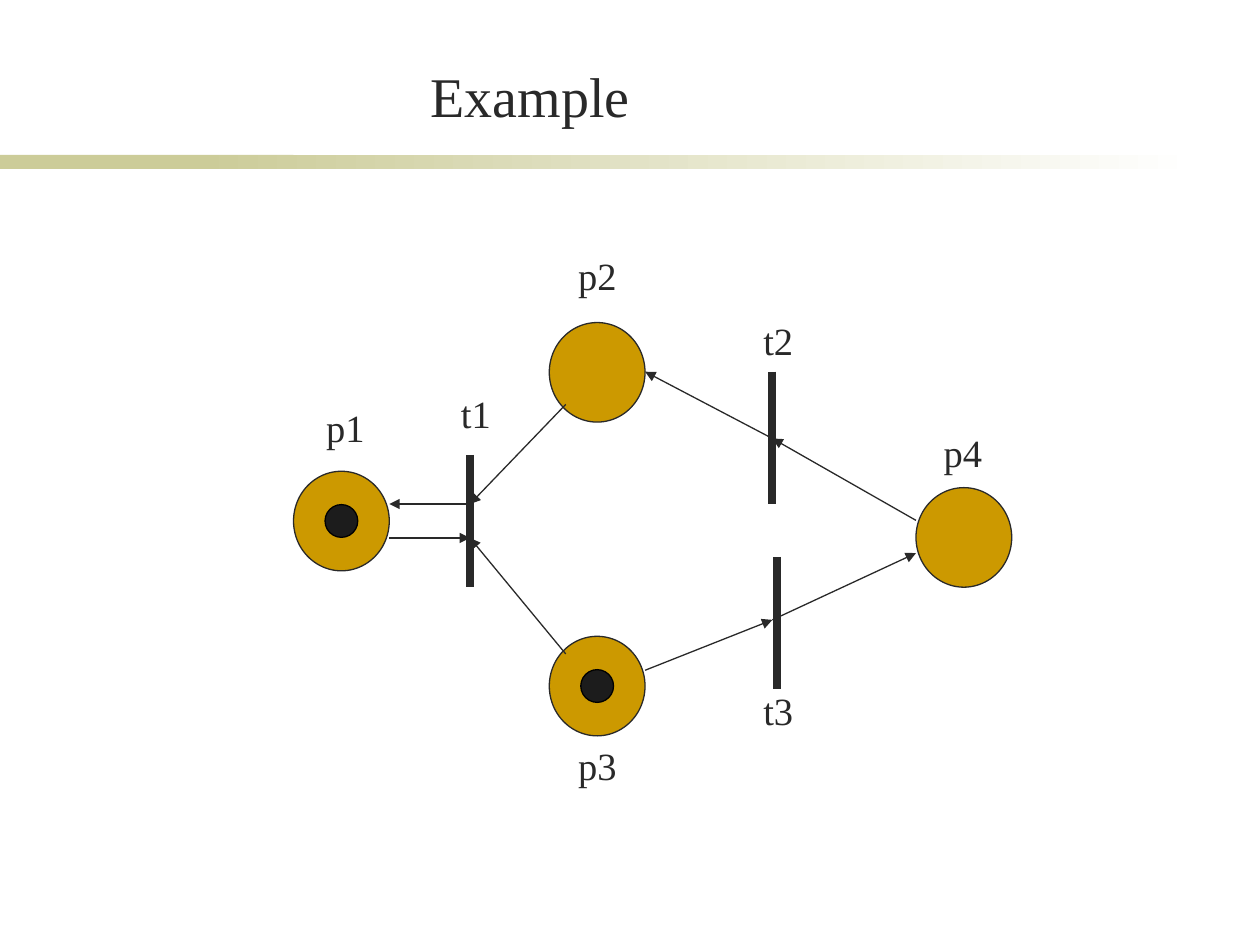
"""Builds a slide with an example Petri net of four places and three transitions."""
from lxml import etree
from pptx import Presentation, util as u
from pptx.dml.color import RGBColor
from pptx.enum import shapes, text
from pptx.oxml.ns import qn

COLORS = {"ink": "292929", "place": "CC9900", "token": "1C1C1C",
          "edge": "000000", "rule": "CCCC99", "paper": "FFFFFF"}
FONT = "Times New Roman"
TITLE = ("Example", (1.14, 0.44, 6.14, 0.63))
PLACE_SIZE, TOKEN_SIZE, BAR_LENGTH = (0.76, 0.79), (0.26, 0.26), 1.05
PLACES = {"p1": (2.33, 3.74), "p2": (4.36, 2.56), "p3": (4.36, 5.05), "p4": (7.27, 3.87)}
MARKED = ("p1", "p3")
TRANSITIONS = {"t1": (3.73, 3.61), "t2": (6.13, 2.95), "t3": (6.17, 4.42)}
ARCS = [
    ((3.73, 4), (3.09, 4)),
    ((3.09, 4.27), (3.73, 4.27)),
    ((4.49, 3.21), (3.73, 4)),
    ((4.49, 5.19), (3.73, 4.27)),
    ((5.12, 5.32), (6.13, 4.92)),
    ((6.13, 4.92), (7.27, 4.39)),
    ((7.27, 4.13), (6.13, 3.48)),
    ((6.13, 3.48), (5.12, 2.95)),
]
LABELS = {"p1": (2.49, 3.16), "p2": (4.49, 1.95), "p3": (4.49, 5.84), "p4": (7.39, 3.36),
          "t1": (3.56, 3.05), "t2": (5.96, 2.47), "t3": (5.96, 5.4)}
LABEL_WIDTHS = {"p": 0.51, "t": 0.44}


def color(name):
    return RGBColor.from_string(COLORS[name])


def add_solid(page, kind, frame, fill, line=None):
    shape = page.shapes.add_shape(kind, *map(u.Inches, frame))
    shape.shadow.inherit = False
    shape.fill.solid()
    shape.fill.fore_color.rgb = color(fill)
    if line:
        shape.line.color.rgb = color(line)
        shape.line.width = u.Pt(0.75)
    else:
        shape.line.fill.background()
    return shape


def add_line(page, start, end, width, arrow=False):
    line = page.shapes.add_connector(shapes.MSO_CONNECTOR.STRAIGHT, *map(u.Inches, start + end))
    line.line.color.rgb = color("ink")
    line.line.width = u.Pt(width)
    if arrow:
        etree.SubElement(line.line._get_or_add_ln(), qn("a:tailEnd"), type="triangle")
    etree.SubElement(line._element.spPr, qn("a:effectLst"))


def add_text(page, words, frame, size, **layout):
    box = page.shapes.add_textbox(*map(u.Inches, frame))
    for name, value in layout.items():
        setattr(box.text_frame, name, value)
    para = box.text_frame.paragraphs[0]
    span = para.add_run()
    span.text = words
    for name, value in {"name": FONT, "size": u.Pt(size)}.items():
        setattr(span.font, name, value)
    span.font.color.rgb = color("ink")
    return para


def add_header(page):
    rectangle = shapes.MSO_SHAPE.RECTANGLE
    add_solid(page, rectangle, (0, 1.23, 2.33, 0.11), "rule")
    fade = add_solid(page, rectangle, (1.58, 1.23, 7.92, 0.11), "rule")
    fade.fill.gradient()
    fade.fill.gradient_angle = 0
    for stop, name in zip(fade.fill.gradient_stops, ("rule", "paper")):
        stop.color.rgb = color(name)
    para = add_text(page, *TITLE, 32, word_wrap=True, vertical_anchor=text.MSO_ANCHOR.BOTTOM)
    para.alignment = text.PP_ALIGN.CENTER


def add_net(page):
    oval = shapes.MSO_SHAPE.OVAL
    for corner in PLACES.values():
        add_solid(page, oval, corner + PLACE_SIZE, "place", "ink")
    for x, y in TRANSITIONS.values():
        add_line(page, (x, y), (x, y + BAR_LENGTH), 4.5)
    for start, end in ARCS:
        add_line(page, start, end, 0.75, arrow=True)
    for name in MARKED:
        corner = tuple(edge + (outer - inner) / 2 for edge, outer, inner
                       in zip(PLACES[name], PLACE_SIZE, TOKEN_SIZE))
        add_solid(page, oval, corner + TOKEN_SIZE, "token", "edge")
    for name, corner in LABELS.items():
        add_text(page, name, corner + (LABEL_WIDTHS[name[0]], 0.47), 22, word_wrap=False,
                 auto_size=text.MSO_AUTO_SIZE.SHAPE_TO_FIT_TEXT)


def main():
    deck = Presentation()
    deck.slide_width, deck.slide_height = u.Inches(10), u.Inches(7.5)
    page = deck.slides.add_slide(deck.slide_layouts[6])
    add_header(page)
    add_net(page)
    deck.save("out.pptx")


if __name__ == "__main__":
    main()
